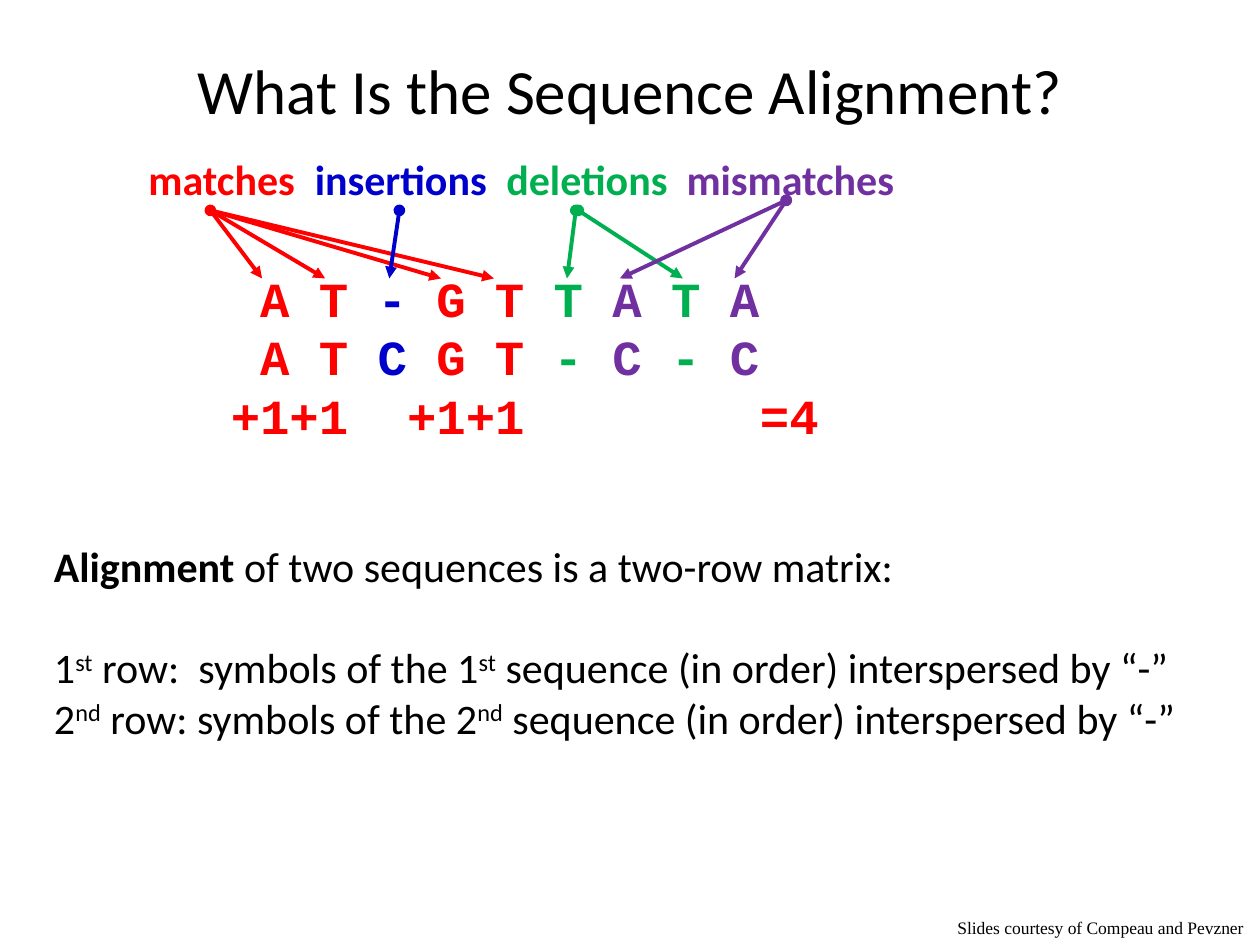
from lxml.etree import SubElement
from pptx import Presentation
from pptx.dml.color import RGBColor
from pptx.enum.shapes import MSO_CONNECTOR
from pptx.enum.text import MSO_ANCHOR, PP_ALIGN
from pptx.oxml.ns import qn
from pptx.util import Inches, Pt

COLORS = {"text": "000000", "match": "FF0000", "insertion": "0000CC",
          "deletion": "00B050", "mismatch": "7030A0"}

TITLE = "What Is the Sequence Alignment?"
CREDIT = "Slides courtesy of Compeau and Pevzner"

# Category, label, tab position of the label in inches
LEGEND = [("match", "matches", 0), ("insertion", "insertions", 1.32),
          ("deletion", "deletions", 2.84), ("mismatch", "mismatches", 4.27)]

# One entry per alignment column: symbol in row 1, symbol in row 2, category
ALIGNMENT = [("A", "A", "match"), ("T", "T", "match"), ("-", "C", "insertion"),
             ("G", "G", "match"), ("T", "T", "match"), ("T", "-", "deletion"),
             ("A", "C", "mismatch"), ("T", "-", "deletion"), ("A", "C", "mismatch")]
SCORES = [(1, "+1+1"), (7, "+1+1"), (19, "=4")]  # character column, score
SYMBOL_COLUMN = 2
CHARACTER = 0.6 * 28 / 72  # width of a monospaced character at 28 pt

# Category, start of the arrow, x of each arrowhead, which arrows begin with a dot
ARROWS = [("match", (1.67, 1.67), [2.08, 3.92, 3.5, 2.58], [True, False, False, False]),
          ("insertion", (3.17, 1.67), [3.09], [True]),
          ("deletion", (4.57, 1.67), [4.5], [True]),
          ("deletion", (4.59, 1.67), [5.42], [True]),
          ("mismatch", (6.24, 1.59), [5.83, 4.92], [True, True])]
ARROWHEAD_Y = 2.21

DEFINITION = [("Alignment", {"bold": True}),
              (" of two sequences is a two-row matrix:", {})]
ROW_RULES = [("1", "st", " row:  symbols of the "), ("2", "nd", " row: symbols of the ")]
ROW_RULE_END = " sequence (in order) interspersed by “-”"

TITLE_FONT = {"name": "Calibri", "size": Pt(36)}
BODY_FONT = {"name": "Calibri", "size": Pt(24)}
LEGEND_FONT = {**BODY_FONT, "bold": True}
SYMBOL_FONT = {"name": "Courier New", "size": Pt(28), "bold": True}
CREDIT_FONT = {"name": "Times New Roman", "size": Pt(10)}


def add_text_frame(slide, box, **formats):
    frame = slide.shapes.add_textbox(*map(Inches, box)).text_frame
    for attribute, value in {"word_wrap": True, **formats}.items():
        setattr(frame, attribute, value)
    return frame


def add_run(paragraph, text, font, color="text"):
    run = paragraph.add_run()
    run.text = text
    for attribute, value in font.items():
        setattr(run.font, attribute, value)
    run.font.color.rgb = RGBColor.from_string(COLORS[color])
    return run


def set_tabs(paragraph, positions):
    tabs = SubElement(paragraph._p.get_or_add_pPr(), qn("a:tabLst"))
    for position in positions:
        SubElement(tabs, qn("a:tab"), pos=str(Inches(position)), algn="l")


def add_arrow(slide, start, end, color, dotted):
    arrow = slide.shapes.add_connector(
        MSO_CONNECTOR.STRAIGHT, *map(Inches, (*start, *end)))
    arrow.line.width = Pt(2.25)
    arrow.line.color.rgb = RGBColor.from_string(COLORS[color])
    line = arrow.line._get_or_add_ln()
    if dotted:
        SubElement(line, qn("a:headEnd"), type="oval")
    SubElement(line, qn("a:tailEnd"), type="triangle")
    SubElement(arrow._element.spPr, qn("a:effectLst"))


def add_alignment(slide):
    frame = add_text_frame(slide, (1.5, 2.08, 6.5, 2.86))
    rows = [frame.paragraphs[0], frame.add_paragraph(), frame.add_paragraph()]
    for paragraph in rows:
        paragraph.line_spacing = Pt(33.5)
    rows[0].space_before = Pt(4)
    for index, paragraph in enumerate(rows[:2]):
        set_tabs(paragraph, [SYMBOL_COLUMN * CHARACTER])
        for column, entry in enumerate(ALIGNMENT):
            gap = " " if column else "\t"
            add_run(paragraph, gap + entry[index], SYMBOL_FONT, entry[2])
    set_tabs(rows[2], [column * CHARACTER for column, _ in SCORES])
    for _, score in SCORES:
        add_run(rows[2], "\t" + score, SYMBOL_FONT, "match")


def add_definition(slide):
    frame = add_text_frame(slide, (0.33, 4.24, 9.58, 2.12))
    for text, emphasis in DEFINITION:
        add_run(frame.paragraphs[0], text, {**BODY_FONT, **emphasis})
    for index, (number, ordinal, middle) in enumerate(ROW_RULES):
        paragraph = frame.add_paragraph()
        paragraph.space_before = Pt(0 if index else 29)
        for text in (number, ordinal, middle + number, ordinal, ROW_RULE_END):
            run = add_run(paragraph, text, BODY_FONT)
            if text == ordinal:
                run.font._element.set("baseline", "30000")


def add_legend(slide):
    paragraph = add_text_frame(slide, (1.08, 1.17, 6.25, 0.5)).paragraphs[0]
    set_tabs(paragraph, [tab for _, _, tab in LEGEND if tab])
    for category, label, tab in LEGEND:
        add_run(paragraph, ("\t" if tab else "") + label, LEGEND_FONT, category)


def main():
    presentation = Presentation()
    presentation.slide_width, presentation.slide_height = Inches(10), Inches(7.5)
    slide = presentation.slides.add_slide(presentation.slide_layouts[6])

    title = add_text_frame(slide, (0.5, 0.08, 9, 1.25), vertical_anchor=MSO_ANCHOR.MIDDLE)
    title.paragraphs[0].alignment = PP_ALIGN.CENTER
    add_run(title.paragraphs[0], TITLE, TITLE_FONT)

    add_alignment(slide)
    add_definition(slide)
    add_legend(slide)
    for category, start, ends, dots in ARROWS:
        for end_x, dotted in zip(ends, dots):
            add_arrow(slide, start, (end_x, ARROWHEAD_Y), category, dotted)

    credit = add_text_frame(slide, (7.5, 7.23, 2.5, 0.27), word_wrap=False)
    add_run(credit.paragraphs[0], CREDIT, CREDIT_FONT)
    presentation.save("out.pptx")


if __name__ == "__main__":
    main()
